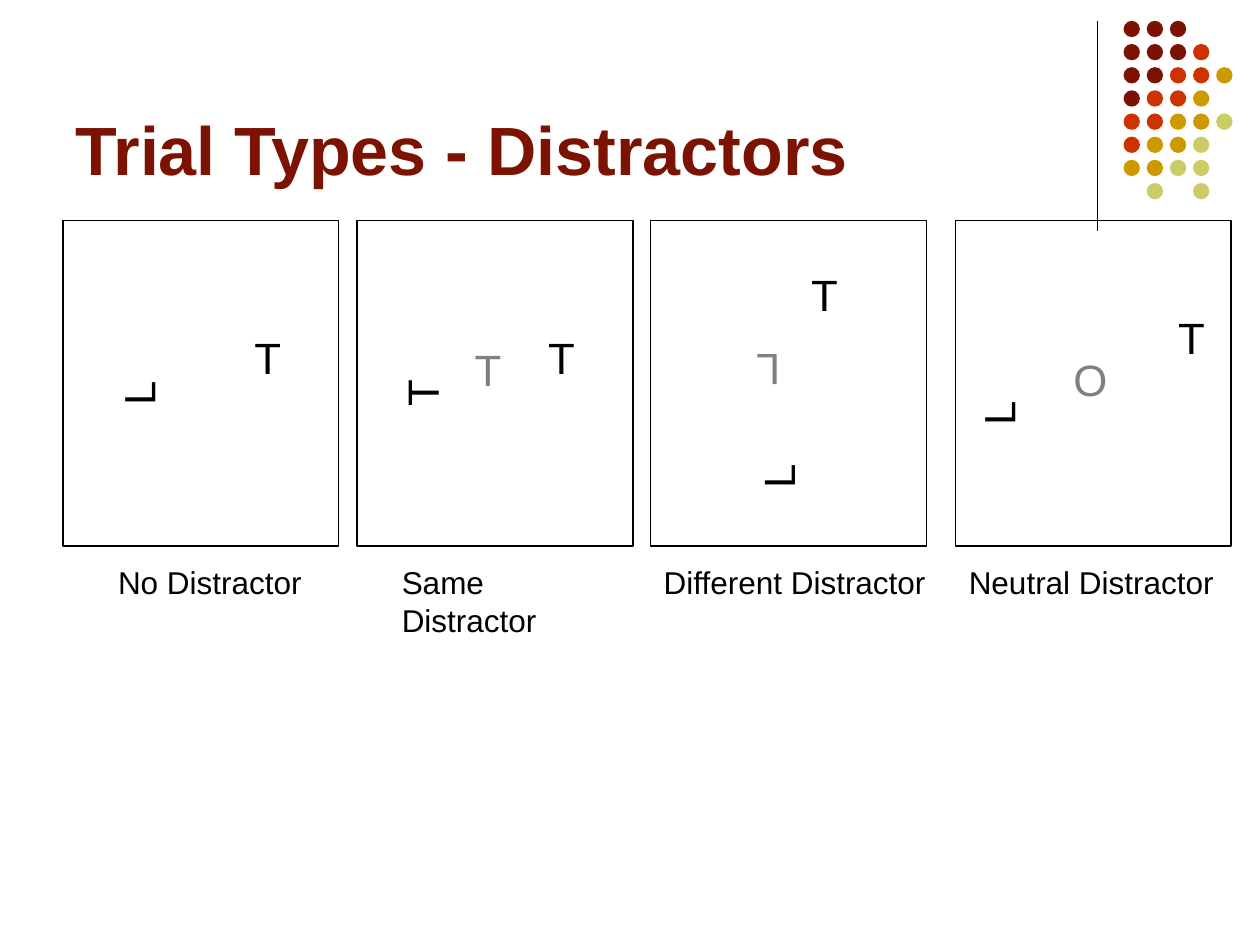
import dataclasses

import pptx
import pptx.dml.color
import pptx.enum.shapes
import pptx.enum.text
import pptx.oxml
import pptx.oxml.ns
import pptx.util

Cm = pptx.util.Cm
Pt = pptx.util.Pt
Shape = pptx.enum.shapes.MSO_SHAPE
Anchor = pptx.enum.text.MSO_ANCHOR
Align = pptx.enum.text.PP_ALIGN
AutoSize = pptx.enum.text.MSO_AUTO_SIZE

BLACK, GREY, MAROON = "000000", "808080", "7C1302"
DOT_COLORS = {"m": MAROON, "r": "CC3300", "o": "CC9900", "g": "CCCC66"}
DOT_ROWS = ["mmm", "mmmr", "mmrro", "mrro", "rroog", "roog", "oogg", " g g"]
DOT_LEFT, DOT_TOP, DOT_SIZE, DOT_STEP = 22.65, 0.42, 0.33, 0.467
PANEL_TOP, PANEL_WIDTH, PANEL_HEIGHT = 4.45, 5.56, 6.56
CAPTION_TOP, CAPTION_HEIGHT = 11.23, 1.02
LETTER_WIDTHS = {"L": 0.99, "T": 1.04, "O": 1.19}
LETTER_HEIGHT = 1.32


@dataclasses.dataclass
class Letter:
    text: str
    left: float
    top: float
    rotation: int = 0
    color: str = BLACK


@dataclasses.dataclass
class Panel:
    left: float
    caption: str
    caption_left: float
    caption_width: float
    letters: list[Letter]


PANELS = [
    Panel(1.27, "No Distractor", 2.13, 4.22, [
        Letter("L", 2.29, 7.26, 270),
        Letter("T", 4.88, 6.55),
    ]),
    Panel(7.2, "Same Distractor", 7.85, 5.05, [
        Letter("T", 7.98, 7.26, 270),
        Letter("T", 10.8, 6.55),
        Letter("T", 9.32, 6.78, color=GREY),
    ]),
    Panel(13.12, "Different Distractor", 13.13, 5.79, [
        Letter("L", 14.99, 6.83, 180, GREY),
        Letter("T", 16.1, 5.28),
        Letter("L", 15.19, 8.94, 270),
    ]),
    Panel(19.26, "Neutral Distractor", 19.28, 5.44, [
        Letter("L", 19.63, 7.67, 270),
        Letter("T", 23.5, 6.15),
        Letter("O", 21.39, 6.99, color=GREY),
    ]),
]


def rgb(color: str) -> pptx.dml.color.RGBColor:
    return pptx.dml.color.RGBColor.from_string(color)


def apply(target, values: dict) -> None:
    for name, value in values.items():
        setattr(target, name, value)


def write(box, text: str, size: float, color: str, frame_format: dict, bold: bool = False) -> None:
    apply(box.text_frame, frame_format)
    para = box.text_frame.paragraphs[0]
    para.alignment = Align.LEFT
    span = para.add_run()
    span.text = text
    apply(span.font, {"name": "Arial", "size": Pt(size), "bold": bold})
    span.font.color.rgb = rgb(color)


def add_label(page, text: str, left: float, top: float, width: float, height: float,
              size: float, color: str = BLACK, rotation: int = 0) -> None:
    box = page.shapes.add_textbox(Cm(left), Cm(top), Cm(width), Cm(height))
    box.rotation = rotation
    write(box, text, size, color, {"word_wrap": False, "auto_size": AutoSize.SHAPE_TO_FIT_TEXT})


def add_divider(page) -> None:
    divider = page.shapes.add_connector(
        pptx.enum.shapes.MSO_CONNECTOR.STRAIGHT, Cm(22.12), Cm(0.43), Cm(22.12), Cm(4.65))
    divider.line.color.rgb = rgb(BLACK)
    divider.line.width = Pt(0.75)
    divider._element.spPr.append(pptx.oxml.parse_xml(
        f"<a:effectLst {pptx.oxml.ns.nsdecls('a')}/>"))


def add_dots(page) -> None:
    group = page.shapes.add_group_shape()
    for row, codes in enumerate(DOT_ROWS):
        for column, code in enumerate(codes):
            if code in DOT_COLORS:
                dot = group.shapes.add_shape(
                    Shape.OVAL, Cm(DOT_LEFT + column * DOT_STEP), Cm(DOT_TOP + row * DOT_STEP),
                    Cm(DOT_SIZE), Cm(DOT_SIZE))
                dot.shadow.inherit = False
                dot.fill.solid()
                dot.fill.fore_color.rgb = rgb(DOT_COLORS[code])
                dot.line.fill.background()


def add_title(page) -> None:
    title = page.shapes.title
    apply(title, {"left": Cm(1.27), "top": Cm(0.33), "width": Cm(20.96), "height": Cm(3.61)})
    write(title, "Trial Types - Distractors", 39, MAROON,
          {"vertical_anchor": Anchor.BOTTOM, "word_wrap": True, "auto_size": AutoSize.NONE}, True)


def add_panel(page, panel: Panel) -> None:
    frame = page.shapes.add_shape(
        Shape.RECTANGLE, Cm(panel.left), Cm(PANEL_TOP), Cm(PANEL_WIDTH), Cm(PANEL_HEIGHT))
    frame.shadow.inherit = False
    frame.fill.background()
    frame.line.color.rgb = rgb(BLACK)
    frame.line.width = Pt(0.75)
    for letter in panel.letters:
        add_label(page, letter.text, letter.left, letter.top, LETTER_WIDTHS[letter.text],
                  LETTER_HEIGHT, 25, letter.color, letter.rotation)
    add_label(page, panel.caption, panel.caption_left, CAPTION_TOP,
              panel.caption_width, CAPTION_HEIGHT, 18)


def main() -> None:
    deck = pptx.Presentation()
    apply(deck, {"slide_width": Cm(25.4), "slide_height": Cm(19.05)})
    page = deck.slides.add_slide(deck.slide_layouts.get_by_name("Title Only"))
    add_divider(page)
    add_dots(page)
    add_title(page)
    for panel in PANELS:
        add_panel(page, panel)
    deck.save("out.pptx")


if __name__ == "__main__":
    main()
